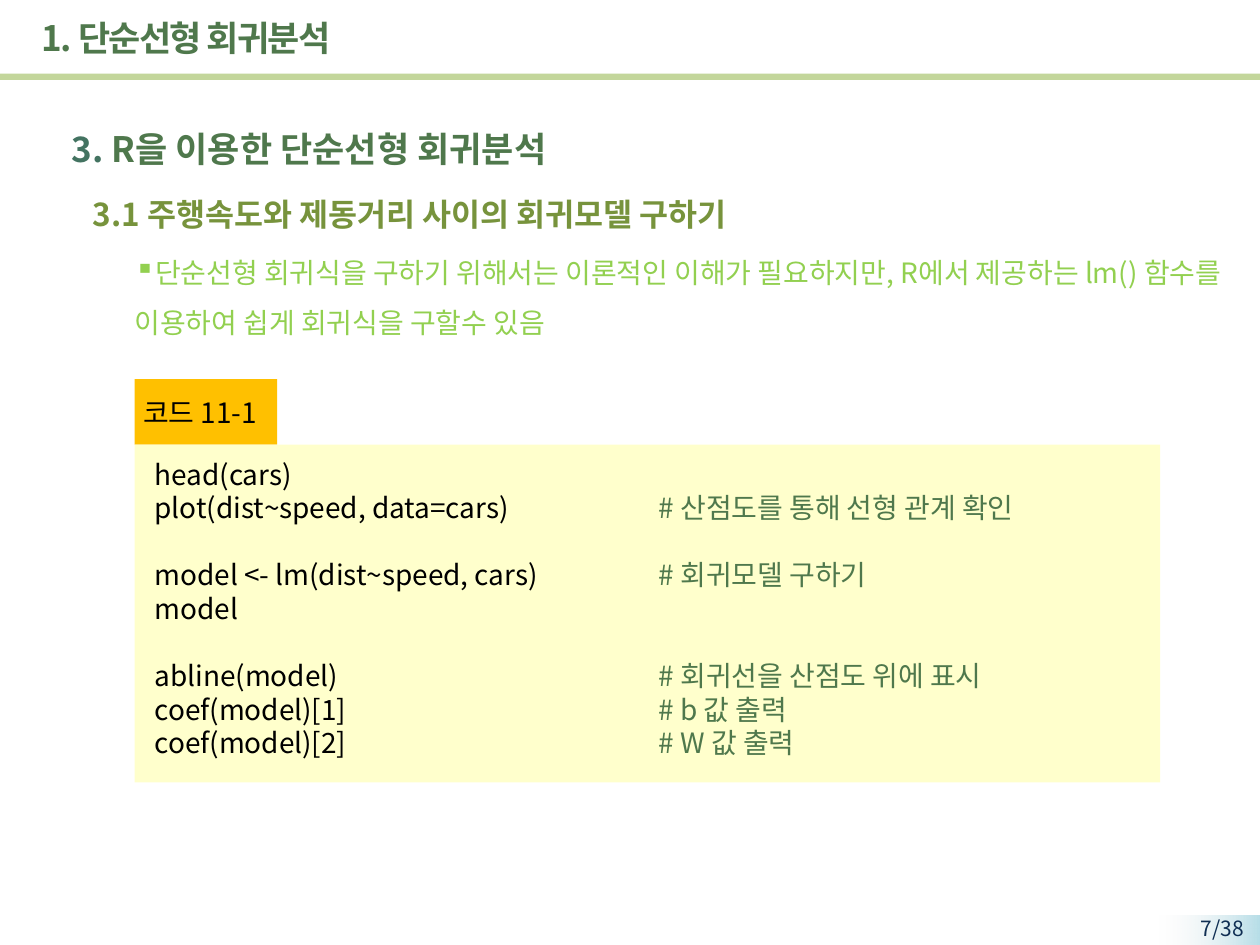
from pptx import Presentation
from pptx.util import Pt
from pptx.dml.color import RGBColor as Rgb
from pptx.enum.shapes import MSO_SHAPE as Shape
from pptx.enum.text import PP_ALIGN as Align, MSO_ANCHOR as Anchor
from pptx.oxml.ns import qn
from lxml.etree import SubElement as Sub

FONT = "Noto Sans CJK KR"
HUES = {
    "green": "4F784C", "teal": "437361", "olive": "77933C", "lime": "92D050",
    "rule": "C3D69B", "amber": "FFC000", "cream": "FFFFCC", "black": "000000",
    "navy": "0F2E53", "sky": "B7DEE8", "mist": "F2F2F2",
}
CODE = [
    ("head(cars)", "", 0),
    ("plot(dist~speed, data=cars)", "# 산점도를 통해 선형 관계 확인", 0),
    ("model <- lm(dist~speed, cars)", "# 회귀모델 구하기", 1),
    ("model", "", 0),
    ("abline(model)", "# 회귀선을 산점도 위에 표시", 1),
    ("coef(model)[1]", "# b 값 출력", 0),
    ("coef(model)[2]", "# W 값 출력", 0),
]


def hue(name):
    """Return the named colour."""
    return Rgb.from_string(HUES[name])


def add_run(para, text, size, color, bold=False):
    """Add one formatted run and return it."""
    run = para.add_run()
    run.text = text
    font = run.font
    font.name, font.size, font.bold = FONT, Pt(size), bold
    font.color.rgb = hue(color)
    Sub(font._element, qn("a:ea"), typeface=FONT)
    return run


def add_bar(slide, left, top, width, height, color):
    """Add a plain filled rectangle."""
    bar = slide.shapes.add_shape(
        Shape.RECTANGLE, Pt(left), Pt(top), Pt(width), Pt(height))
    bar.shadow.inherit = False
    bar.line.fill.background()
    bar.fill.solid()
    bar.fill.fore_color.rgb = hue(color)
    return bar


def add_text(slide, left, top, width, height, wrap=True):
    """Add a text box and return its frame."""
    box = slide.shapes.add_textbox(Pt(left), Pt(top), Pt(width), Pt(height))
    box.text_frame.word_wrap = wrap
    return box.text_frame


def add_para(frame, pitch, before=0):
    """Return the next paragraph with the given line pitch."""
    first = frame.paragraphs[0]
    para = frame.add_paragraph() if first.runs else first
    para.line_spacing, para.space_before = Pt(pitch), Pt(before)
    return para


def draw_head(slide, left, top, width):
    """Draw the title and the rule below it."""
    add_bar(slide, left, top + 42, width, 3.6, "rule")
    title = slide.shapes.title
    title.left, title.top = Pt(left + 16.6), Pt(top + 2.9)
    title.width, title.height = Pt(612.7), Pt(37.4)
    frame = title.text_frame
    frame.vertical_anchor = Anchor.MIDDLE
    para = frame.paragraphs[0]
    para.alignment = Align.LEFT
    run = add_run(para, "1. 단순선형 회귀분석", 20, "green", True)
    run.font._element.set("spc", "-100")


def draw_body(slide, left, top, width, height):
    """Draw the section heads and the bulleted remark."""
    frame = add_text(slide, left, top, width, height)
    para = add_para(frame, 36)
    add_run(para, "3. ", 20, "teal", True)
    add_run(para, "R을 이용한 단순선형 회귀분석", 20, "green", True)
    para = add_para(frame, 32.4, 3.6)
    para._p.get_or_add_pPr().set("marL", str(Pt(12)))
    add_run(para, "3.1 주행속도와 제동거리 사이의 회귀모델 구하기", 18, "olive", True)
    para = add_para(frame, 28.8, 3.2)
    props = para._p.get_or_add_pPr()
    props.set("marL", str(Pt(36)))
    props.set("indent", "0")
    Sub(props, qn("a:buChar"), char="▪")
    add_run(para, "단순선형 회귀식을 구하기 위해서는 이론적인 이해가 필요하지만, "
            "R에서 제공하는 lm() 함수를 이용하여 쉽게 회귀식을 구할수 있음", 16, "lime")


def draw_code(slide, left, top, width, height):
    """Draw the code panel with its tag."""
    tag = 37.4
    add_bar(slide, left, top, 81.4, tag, "amber")
    add_bar(slide, left, top + tag, width, height - tag, "cream")
    frame = add_text(slide, left - 2.2, top + 5.8, 86.4, 26.6, False)
    add_run(add_para(frame, 19.2), "코드 11-1", 16, "black")
    frame = add_text(slide, left + 4.3, top + tag + 3.6, 558.7, 184.3)
    for code, note, gap in CODE:
        para = add_para(frame, 19.2, gap * 19.2)
        add_run(para, code + ("\t" if note else ""), 16, "black")
        if note:
            tabs = Sub(para._p.get_or_add_pPr(), qn("a:tabLst"))
            Sub(tabs, qn("a:tab"), pos=str(Pt(288)), algn="l")
            add_run(para, note, 16, "green")


def draw_page(slide, left, top, width, height):
    """Draw the page number on its fading strip."""
    fill = add_bar(slide, left, top, width, height, "sky").fill
    fill.gradient()
    fill.gradient_angle = 180
    for stop, color, spot in zip(fill.gradient_stops, ("sky", "mist"), (0, 1)):
        stop.color.rgb = hue(color)
        stop.position = spot
    tint = fill._xPr.findall(".//" + qn("a:srgbClr"))[-1]
    Sub(tint, qn("a:alpha"), val="0")
    frame = add_text(slide, left - 10.8, top - 3.6, 66.2, 16.6)
    para = add_para(frame, 14.4)
    para.alignment = Align.RIGHT
    add_run(para, "7/38", 12, "navy")


def main():
    """Build and save the slide."""
    deck = Presentation()
    deck.slide_width, deck.slide_height = Pt(720), Pt(540)
    slide = deck.slides.add_slide(deck.slide_layouts[5])
    draw_page(slide, 662.4, 523.4, 57.6, 17.3)
    draw_head(slide, 0, 0, 720)
    draw_body(slide, 33.8, 57.6, 673.2, 446.4)
    draw_code(slide, 77, 216.7, 586, 230.4)
    deck.save("out.pptx")


if __name__ == "__main__":
    main()
